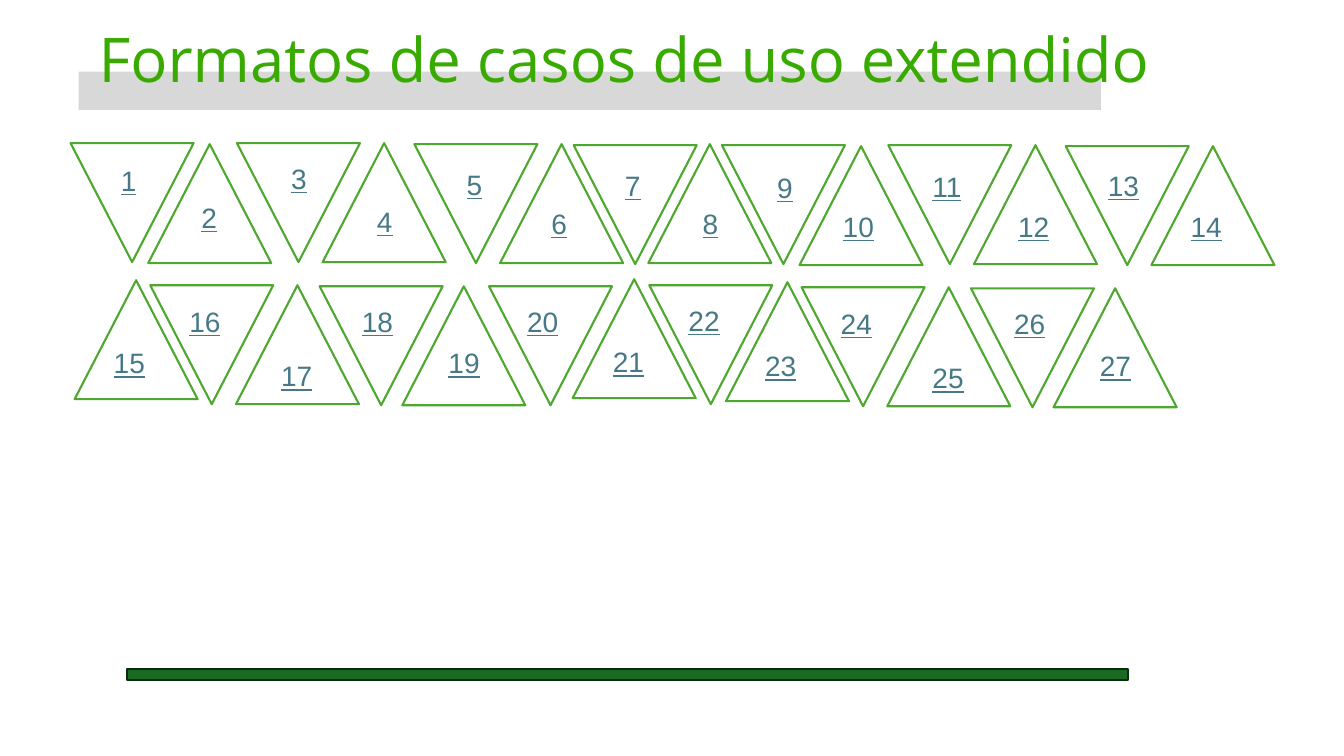
from pptx import Presentation
from pptx import util as u
from pptx.dml.color import RGBColor
from pptx.enum import shapes, text

Inches = u.Inches
COLORS = {
    "title": "38AA00", "band": "D8D8D8", "bar": "196B24", "bar_edge": "0A2D0F",
    "triangle": "FFFFFF", "triangle_edge": "4EA72E", "number": "467886",
}
TITLE_FORMAT = {"name": "Open Sans", "size": u.Pt(44)}
NUMBER_FORMAT = {"name": "Arial", "size": u.Pt(20), "underline": True}
TRIANGLE_SIZE = (1.22, 1.18)

# Triangle left and top, then number left and top; numbered from 1 in order.
UPPER_ROW = [
    (0.70, 1.42, 1.10, 1.57), (1.47, 1.43, 1.90, 1.94),
    (2.35, 1.42, 2.79, 1.55), (3.20, 1.42, 3.64, 1.98),
    (4.11, 1.43, 4.53, 1.61), (4.96, 1.43, 5.37, 2.00),
    (5.69, 1.44, 6.10, 1.62), (6.43, 1.43, 6.87, 2.00),
    (7.16, 1.44, 7.61, 1.64), (7.93, 1.45, 8.26, 2.03),
    (8.81, 1.44, 9.15, 1.63), (9.66, 1.44, 10.00, 2.03),
    (10.57, 1.45, 10.89, 1.62), (11.42, 1.45, 11.71, 2.03),
]
LOWER_ROW = [
    (0.74, 2.78, 1.03, 3.38), (1.49, 2.83, 1.78, 2.97),
    (2.34, 2.83, 2.69, 3.51), (3.17, 2.84, 3.49, 2.97),
    (3.99, 2.84, 4.35, 3.38), (4.85, 2.84, 5.13, 2.97),
    (5.68, 2.77, 5.98, 3.37), (6.44, 2.83, 6.73, 2.96),
    (7.20, 2.80, 7.49, 3.41), (7.95, 2.85, 8.24, 2.99),
    (8.80, 2.85, 9.15, 3.53), (9.63, 2.86, 9.96, 2.99),
    (10.45, 2.86, 10.81, 3.41),
]


def rgb(name):
    return RGBColor.from_string(COLORS[name])


def add_figure(slide, kind, box, fill, edge=None):
    shape = slide.shapes.add_shape(kind, *map(Inches, box))
    shape.shadow.inherit = False
    shape.fill.solid()
    shape.fill.fore_color.rgb = rgb(fill)
    if edge:
        shape.line.color.rgb = rgb(edge)
        shape.line.width = u.Pt(1.5)
    else:
        shape.line.fill.background()
    return shape


def add_label(slide, box, wording, color, font_format):
    frame = slide.shapes.add_textbox(*map(Inches, box)).text_frame
    frame.word_wrap = True
    paragraph = frame.paragraphs[0]
    run = paragraph.add_run()
    run.text = wording
    run.font.color.rgb = rgb(color)
    for attribute, value in font_format.items():
        setattr(run.font, attribute, value)
    return frame


def add_title(slide):
    add_figure(slide, shapes.MSO_SHAPE.RECTANGLE, (0.78, 0.71, 10.14, 0.38), "band")
    frame = add_label(slide, (0.88, 0.27, 11.26, 0.71),
                      "Formatos de casos de uso extendido", "title", TITLE_FORMAT)
    frame.vertical_anchor = text.MSO_ANCHOR.MIDDLE
    frame.paragraphs[0].line_spacing = 0.9


def add_numbered_triangle(slide, number, place, points_down):
    left, top, number_left, number_top = place
    triangle = add_figure(slide, shapes.MSO_SHAPE.ISOSCELES_TRIANGLE,
                          (left, top, *TRIANGLE_SIZE), "triangle", "triangle_edge")
    triangle.rotation = 180 if points_down else 0
    width = 0.42 if number < 10 else 0.57
    frame = add_label(slide, (number_left, number_top, width, 0.44),
                      str(number), "number", NUMBER_FORMAT)
    frame.auto_size = text.MSO_AUTO_SIZE.SHAPE_TO_FIT_TEXT


def add_triangle_row(slide, row, first_number, first_points_down):
    """Add a row of triangles that point down and up in turn."""
    for index, place in enumerate(row):
        points_down = (index % 2 == 0) == first_points_down
        add_numbered_triangle(slide, first_number + index, place, points_down)


def main():
    presentation = Presentation()
    presentation.slide_width = Inches(13.33)
    presentation.slide_height = Inches(7.5)
    slide = presentation.slides.add_slide(presentation.slide_layouts[6])

    add_title(slide)
    bar = add_figure(slide, shapes.MSO_SHAPE.MATH_MINUS,
                     (-0.53, 6.46, 13.51, 0.47), "bar", "bar_edge")
    bar.adjustments[0] = 0.235
    add_triangle_row(slide, UPPER_ROW, 1, True)
    add_triangle_row(slide, LOWER_ROW, len(UPPER_ROW) + 1, False)

    presentation.save("out.pptx")


if __name__ == "__main__":
    main()
